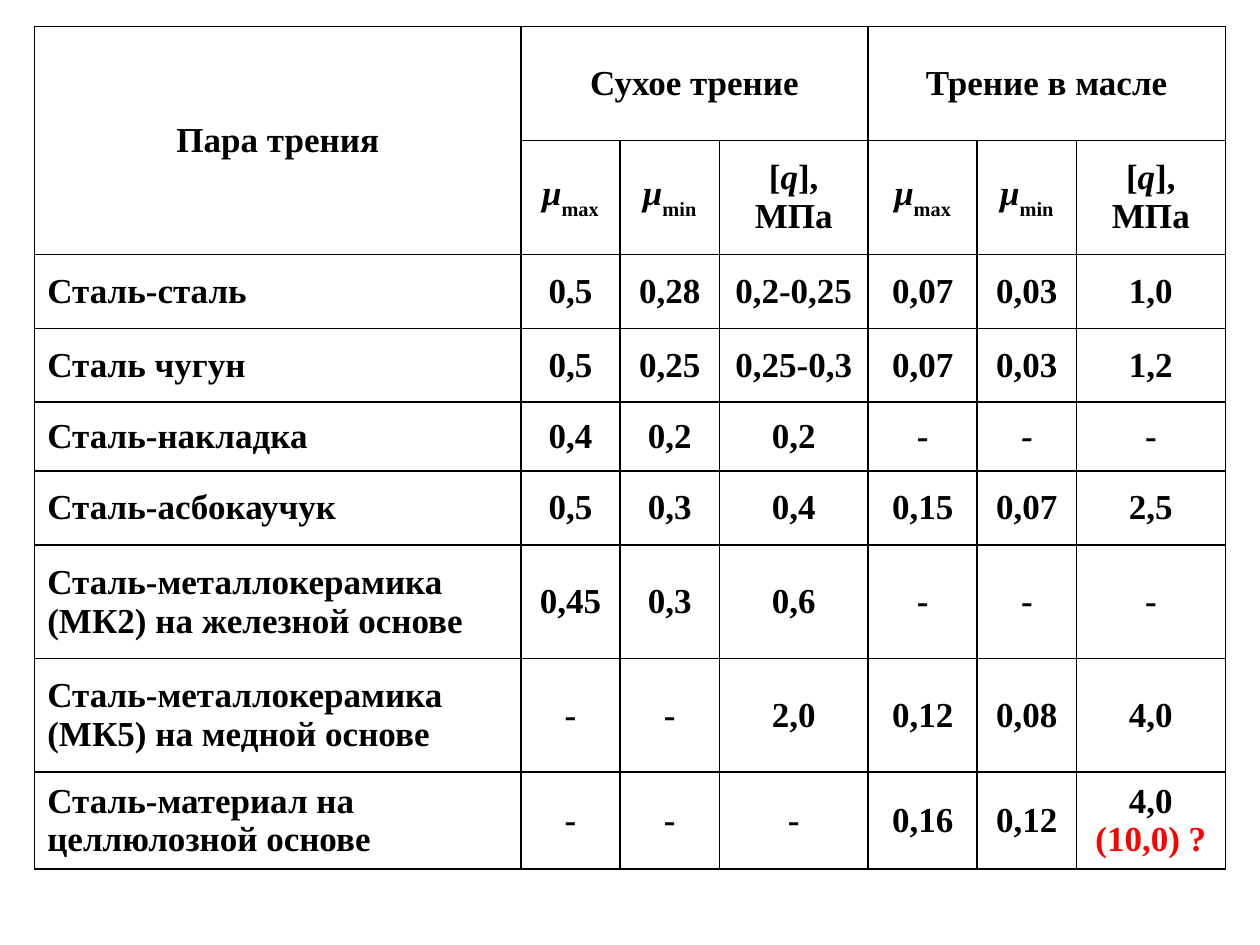
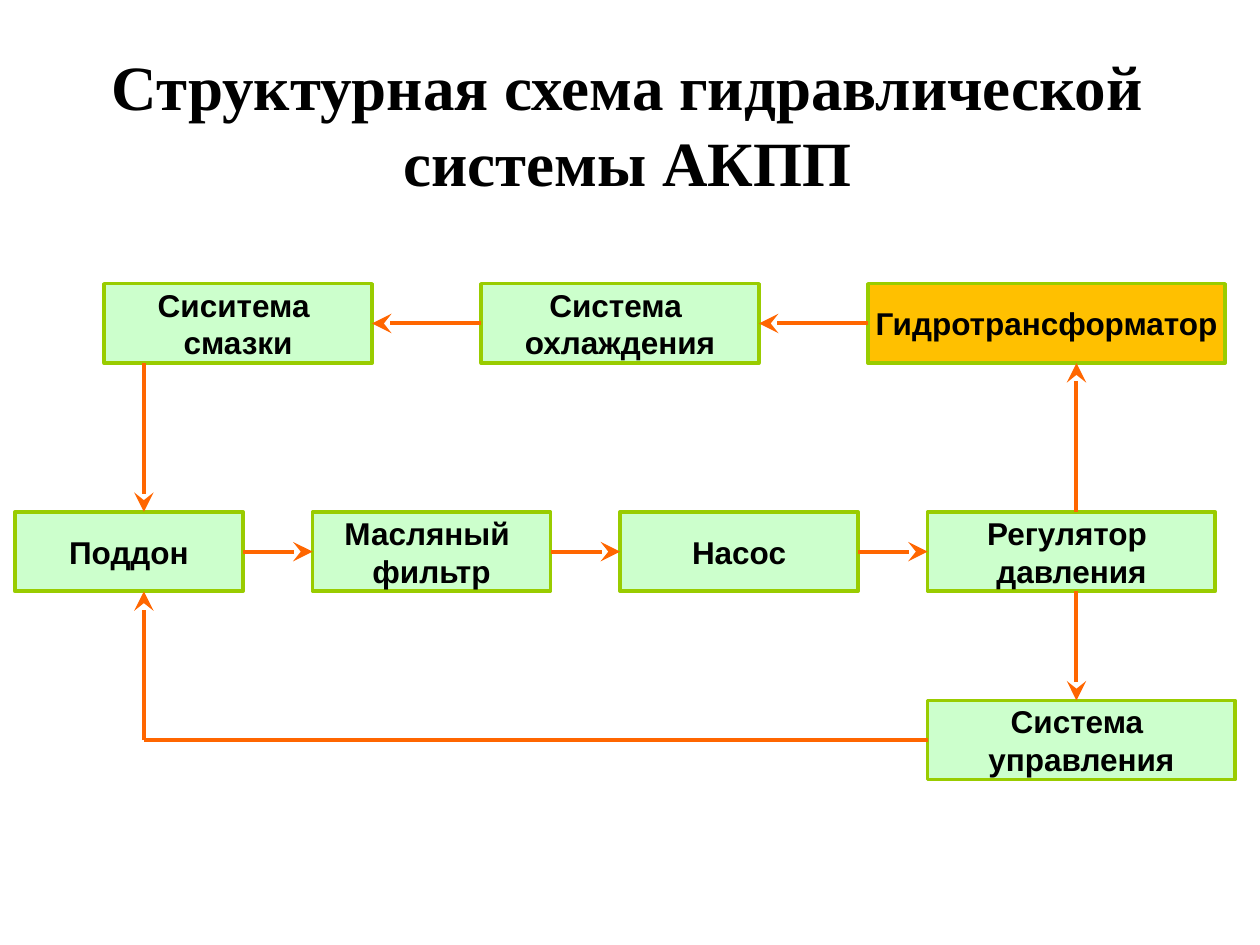
from dataclasses import dataclass
from lxml import etree
from pptx import Presentation
from pptx import util as u
from pptx.dml.color import RGBColor as RGB
from pptx.enum import shapes, text
from pptx.oxml import ns


@dataclass(frozen=True)
class Theme:
    ink: RGB = RGB(0, 0, 0)
    alert: RGB = RGB(0xFF, 0, 0)
    box: RGB = RGB(0xCC, 0xFF, 0xCC)
    accent: RGB = RGB(0xFF, 0xC0, 0)
    edge: RGB = RGB(0x99, 0xCC, 0)
    flow: RGB = RGB(0xFF, 0x66, 0)
    serif: str = "Times New Roman"
    sans: str = "Arial"
    title: int = 36
    cell: int = 20
    label: int = 18


T = Theme()


def style(par, face, size, align, color=T.ink):
    par.alignment = align
    par.font.name = face
    par.font.size = u.Pt(size)
    par.font.bold = True
    par.font.color.rgb = color


def link(x1, y1, x2, y2, head=True):
    line = flow.shapes.add_connector(
        shapes.MSO_CONNECTOR.STRAIGHT, u.Cm(x1), u.Cm(y1), u.Cm(x2), u.Cm(y2))
    line.line.color.rgb = T.flow
    line.line.width = u.Pt(2.25)
    if head:
        etree.SubElement(line.line._get_or_add_ln(), ns.qn("a:tailEnd"),
                         type="stealth", w="lg", len="lg")
    etree.SubElement(line._element.spPr, ns.qn("a:effectLst"))
    return line


ALIGN = text.PP_ALIGN
deck = Presentation()
deck.slide_width, deck.slide_height = u.Cm(25.4), u.Cm(19.05)

data = deck.slides.add_slide(deck.slide_layouts[6])
cols = [9.8, 2, 2, 3, 2.2, 2, 3]
rows = [2.3, 2.3, 1.49, 1.49, 1.39, 1.49, 2.29, 2.29, 1.95]
units = ["μ|max", "μ|min", "[|q|],\nMПа"]
cells = [
    ["Пара трения", "Сухое трение", "", "", "Трение в масле", "", ""],
    [""] + units * 2,
    ["Сталь-сталь", "0,5", "0,28", "0,2-0,25", "0,07", "0,03", "1,0"],
    ["Сталь чугун", "0,5", "0,25", "0,25-0,3", "0,07", "0,03", "1,2"],
    ["Сталь-накладка", "0,4", "0,2", "0,2", "-", "-", "-"],
    ["Сталь-асбокаучук", "0,5", "0,3", "0,4", "0,15", "0,07", "2,5"],
    ["Сталь-металлокерамика (МК2) на железной основе", "0,45", "0,3", "0,6", "-", "-", "-"],
    ["Сталь-металлокерамика (МК5) на медной основе", "-", "-", "2,0", "0,12", "0,08", "4,0"],
    ["Сталь-материал на целлюлозной основе", "-", "-", "-", "0,16", "0,12", "4,0\n(10,0) ?"],
]
grid = data.shapes.add_table(len(rows), len(cols), u.Cm(0.7), u.Cm(0.53),
                             u.Cm(sum(cols)), u.Cm(sum(rows))).table
grid.first_row = grid.horz_banding = False
for col, wide in zip(grid.columns, cols):
    col.width = u.Cm(wide)
for row, tall in zip(grid.rows, rows):
    row.height = u.Cm(tall)

for r, row in enumerate(cells):
    for c, words in enumerate(row):
        cell = grid.cell(r, c)
        cell.vertical_anchor = text.MSO_ANCHOR.MIDDLE
        props = cell._tc.get_or_add_tcPr()
        for side in ("lnL", "lnR", "lnT", "lnB"):
            edge = etree.SubElement(props, ns.qn("a:" + side), w=str(u.Pt(1)))
            fill = etree.SubElement(edge, ns.qn("a:solidFill"))
            etree.SubElement(fill, ns.qn("a:srgbClr"), val=str(T.ink))
        cell.fill.background()
        align = ALIGN.CENTER
        if c == 0 and r > 1:
            align = ALIGN.LEFT if r == len(rows) - 1 else ALIGN.JUSTIFY
        for n, part in enumerate(words.split("\n")):
            par = cell.text_frame.paragraphs[0] if n == 0 else cell.text_frame.add_paragraph()
            style(par, T.serif, T.cell, align, T.alert if part.startswith("(") else T.ink)
            for bit in part.split("|"):
                run = par.add_run()
                run.text = bit
                if bit in ("μ", "q"):
                    run.font.italic = True
                elif bit in ("max", "min"):
                    run._r.get_or_add_rPr().set("baseline", "-30000")

grid.cell(0, 0).merge(grid.cell(1, 0))
grid.cell(0, 1).merge(grid.cell(0, 3))
grid.cell(0, 4).merge(grid.cell(0, 6))

flow = deck.slides.add_slide(deck.slide_layouts[5])
head = flow.shapes.title
head.left, head.top, head.width, head.height = u.Cm(0.5), u.Cm(0.84), u.Cm(24.3), u.Cm(3.3)
head.text_frame.text = "Структурная схема гидравлической системы АКПП"
head.text_frame.auto_size = text.MSO_AUTO_SIZE.NONE
head.text_frame.vertical_anchor = text.MSO_ANCHOR.BOTTOM
style(head.text_frame.paragraphs[0], T.serif, T.title, ALIGN.CENTER)

tall = 1.6
top, mid, low = 5.72, 10.32, 14.12
lanes = [
    (2.1, top, 2.2, [("Сиситема \nсмазки", 5.4), ("Система \nохлаждения", 5.6),
                     ("Гидротрансформатор", 7.2)]),
    (0.3, mid, 1.4, [("Поддон", 4.6), ("Масляный \nфильтр", 4.8), ("Насос", 4.8),
                     ("Регулятор \nдавления", 5.8)]),
    (18.7, low, 0, [("Система \nуправления", 6.2)]),
]
boxes = []
for x, y, gap, items in lanes:
    lane = []
    for words, wide in items:
        box = flow.shapes.add_shape(shapes.MSO_SHAPE.RECTANGLE,
                                    u.Cm(x), u.Cm(y), u.Cm(wide), u.Cm(tall))
        box.shadow.inherit = False
        box.fill.solid()
        box.fill.fore_color.rgb = T.accent if words == "Гидротрансформатор" else T.box
        box.line.color.rgb = T.edge
        box.line.width = u.Pt(2)
        frame = box.text_frame
        frame.text = words
        frame.word_wrap = False
        frame.vertical_anchor = text.MSO_ANCHOR.MIDDLE
        for par in frame.paragraphs:
            style(par, T.sans, T.label, ALIGN.CENTER)
        lane.append(box)
        x += wide + gap
    boxes.append(lane)

upper, main, (control,) = boxes
pairs = [(a, 3, b, 1) for a, b in zip(main, main[1:])]
pairs += [(b, 1, a, 3) for a, b in zip(upper, upper[1:])]
for a, out, b, into in pairs:
    line = link(0, 0, 1, 1)
    line.begin_connect(a, out)
    line.end_connect(b, into)

left, right = 2.9, 21.7
turn = low + tall / 2
for x, y1, y2 in [(right, mid + tall, low), (right, mid, top + tall),
                  (left, top + tall, mid), (left, turn, mid + tall)]:
    link(x, y1, x, y2)
link(18.7, turn, left, turn, head=False).begin_connect(control, 1)

deck.save("out.pptx")
